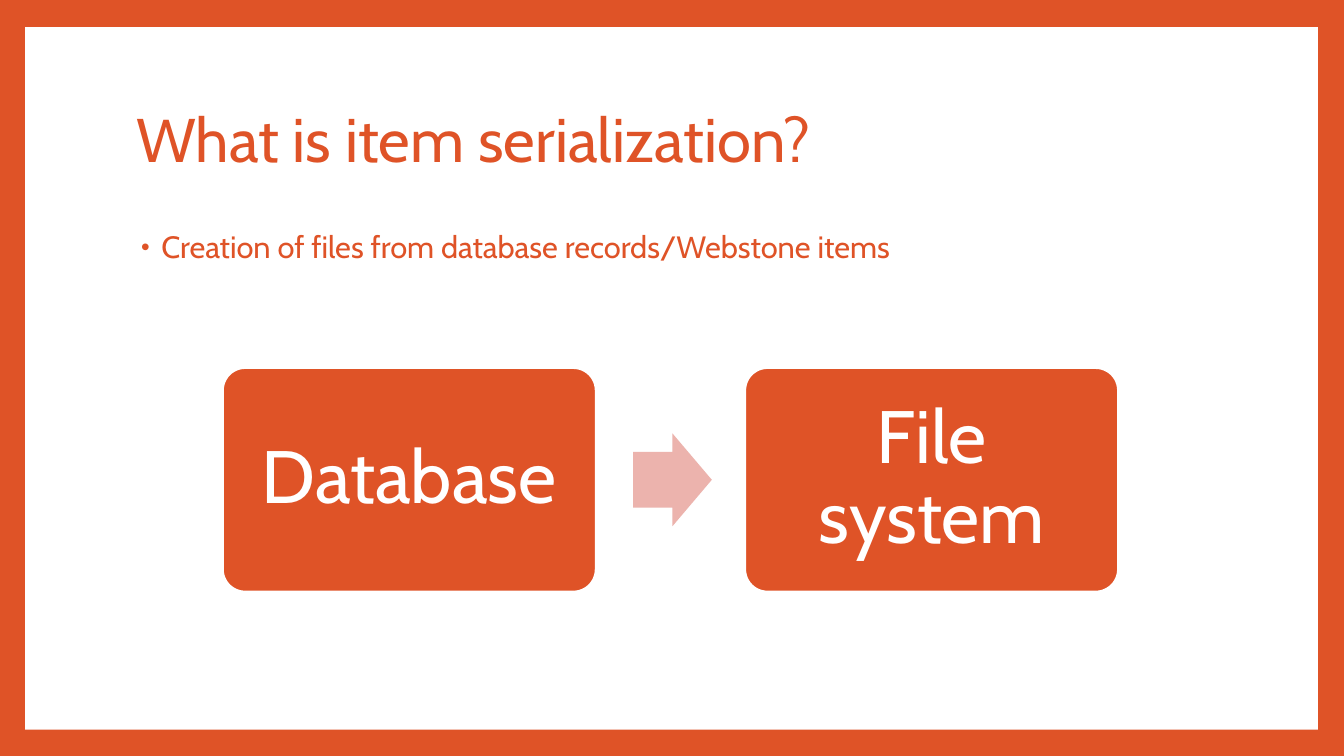
from dataclasses import dataclass

from lxml import etree
from pptx import Presentation
from pptx.dml.color import RGBColor
from pptx.enum import shapes, text
from pptx.oxml import ns
from pptx.util import Inches, Pt


@dataclass(frozen=True)
class Theme:
    font: str = "Cabin"
    accent: RGBColor = RGBColor(0xDF, 0x53, 0x27)
    pale: RGBColor = RGBColor(0xEC, 0xB3, 0xAD)
    white: RGBColor = RGBColor(0xFF, 0xFF, 0xFF)
    title_size: float = 44
    body_size: float = 22
    stage_size: float = 53


@dataclass(frozen=True)
class Box:
    left: float
    top: float
    width: float
    height: float

    def lengths(self) -> tuple:
        return tuple(Inches(n) for n in (self.left, self.top, self.width, self.height))


@dataclass(frozen=True)
class Stage:
    label: str
    box: Box


THEME = Theme()
STAGE_LEFT, STAGE_PITCH = 2.21, 5.18
STAGES = [
    Stage(label, Box(STAGE_LEFT + i * STAGE_PITCH, 3.65, 3.7, 2.22))
    for i, label in enumerate(["Database", "File system"])
]


def write(shape, words: str, *, size: float, color: RGBColor,
          align=text.PP_ALIGN.LEFT, anchor=text.MSO_ANCHOR.MIDDLE,
          before: float = 0, inset: float | None = None):
    """Fill a shape with one formatted paragraph and return the paragraph."""
    frame = shape.text_frame
    frame.word_wrap = True
    frame.auto_size = text.MSO_AUTO_SIZE.NONE
    frame.vertical_anchor = anchor
    if inset is not None:
        frame.margin_left = frame.margin_right = Inches(inset)
        frame.margin_top = frame.margin_bottom = Inches(inset)
    paragraph = frame.paragraphs[0]
    paragraph.alignment = align
    paragraph.line_spacing = 0.9
    paragraph.space_before = Pt(before)
    run = paragraph.add_run()
    run.text = words
    run.font.name, run.font.size = THEME.font, Pt(size)
    run.font.color.rgb = color
    return paragraph


def add_bullet(paragraph, color: RGBColor) -> None:
    properties = paragraph._p.get_or_add_pPr()
    properties.set("marL", str(Inches(0.25)))
    properties.set("indent", str(Inches(-0.2)))
    bullet_color = etree.SubElement(properties, ns.qn("a:buClr"))
    etree.SubElement(bullet_color, ns.qn("a:srgbClr"), val=str(color))
    etree.SubElement(properties, ns.qn("a:buSzPct"), val="80000")
    etree.SubElement(properties, ns.qn("a:buFont"), typeface="Arial")
    etree.SubElement(properties, ns.qn("a:buChar"), char="•")


def add_filled(slide, kind, box: Box, fill: RGBColor,
               adjustments: tuple[float, ...] = (), outline: RGBColor | None = None):
    shape = slide.shapes.add_shape(kind, *box.lengths())
    shape.shadow.inherit = False
    shape.fill.solid()
    shape.fill.fore_color.rgb = fill
    for i, value in enumerate(adjustments):
        shape.adjustments[i] = value
    if outline is None:
        shape.line.fill.background()
    else:
        shape.line.color.rgb, shape.line.width = outline, Pt(1.5)
    return shape


def place(shape, box: Box) -> None:
    shape.left, shape.top, shape.width, shape.height = box.lengths()


def main() -> None:
    deck = Presentation()
    deck.slide_width, deck.slide_height = Inches(13.33), Inches(7.5)
    slide = deck.slides.add_slide(deck.slide_layouts[1])

    # Coloured frame around a white panel, behind the placeholders
    slide.background.fill.solid()
    slide.background.fill.fore_color.rgb = THEME.accent
    heading, definition = slide.placeholders
    panel = add_filled(slide, shapes.MSO_SHAPE.RECTANGLE,
                       Box(0.25, 0.27, 12.82, 6.97), THEME.white)
    heading.element.addprevious(panel.element)

    # Heading and definition
    place(heading, Box(1.25, 0.67, 10.8, 1.48))
    write(heading, "What is item serialization?",
          size=THEME.title_size, color=THEME.accent)
    place(definition, Box(1.25, 2.25, 10.8, 4.42))
    creation = write(definition, "Creation of files from database records/Webstone items",
                     size=THEME.body_size, color=THEME.accent,
                     anchor=text.MSO_ANCHOR.TOP, before=14)
    add_bullet(creation, THEME.accent)

    # Flow from database to file system
    for stage in STAGES:
        card = add_filled(slide, shapes.MSO_SHAPE.ROUNDED_RECTANGLE, stage.box,
                          THEME.accent, (0.1,), THEME.white)
        write(card, stage.label, size=THEME.stage_size, color=THEME.white,
              align=text.PP_ALIGN.CENTER, inset=0.22)
    add_filled(slide, shapes.MSO_SHAPE.RIGHT_ARROW, Box(6.28, 4.3, 0.78, 0.92),
               THEME.pale, (0.6, 0.5))

    deck.save("out.pptx")


if __name__ == "__main__":
    main()
